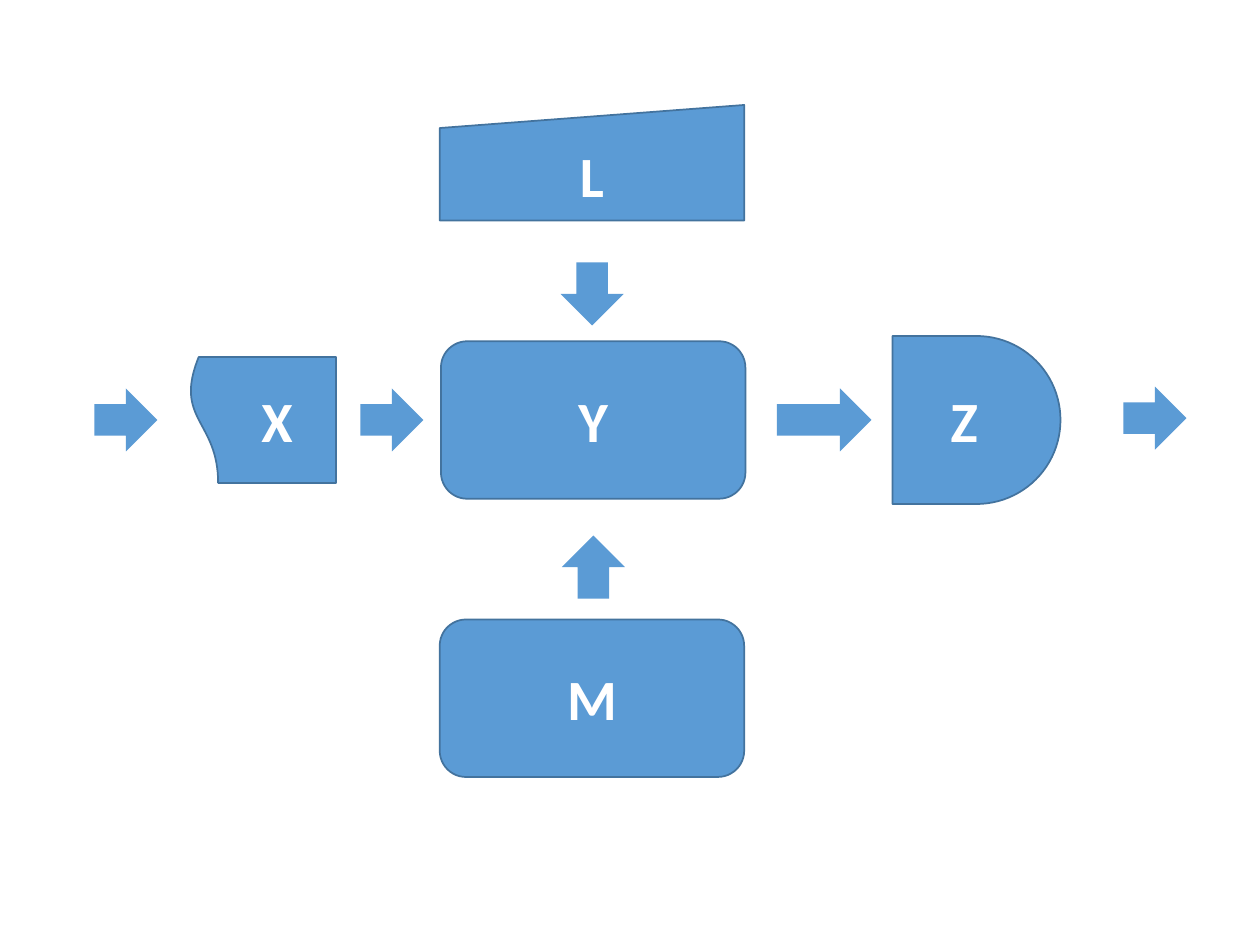
from pptx import Presentation
from pptx.dml.color import RGBColor
from pptx.enum.shapes import MSO_SHAPE
from pptx.enum.text import MSO_ANCHOR, PP_ALIGN
from pptx.util import Pt

COLORS = {"fill": "5B9BD5", "outline": "43739E", "text": "FFFFFF"}
FONT = "Calibri"
ROW_Y = 240  # centre line of the main flow


def add_filled(slide, kind, left, top, width, height, rotation=0):
    sp = slide.shapes.add_shape(kind, Pt(left), Pt(top), Pt(width), Pt(height))
    sp.shadow.inherit = False
    sp.rotation = rotation
    sp.fill.solid()
    sp.fill.fore_color.rgb = RGBColor.from_string(COLORS["fill"])
    return sp


def add_block(slide, kind, label, left, top, width, height, rotation=0):
    sp = add_filled(slide, kind, left, top, width, height, rotation)
    sp.line.color.rgb = RGBColor.from_string(COLORS["outline"])
    sp.line.width = Pt(1)
    tf = sp.text_frame
    tf.text = label
    tf.vertical_anchor = MSO_ANCHOR.MIDDLE
    p = tf.paragraphs[0]
    p.alignment = PP_ALIGN.CENTER
    font = p.runs[0].font
    font.name, font.size, font.bold = FONT, Pt(32.5), True
    font.color.rgb = RGBColor.from_string(COLORS["text"])
    return sp


def add_arrow(slide, left, center_y, width=36, rotation=0):
    height = 36
    sp = add_filled(slide, MSO_SHAPE.RIGHT_ARROW, left, center_y - height / 2,
                    width, height, rotation)
    sp.line.fill.background()


def main():
    prs = Presentation()
    prs.slide_width, prs.slide_height = Pt(720), Pt(540)
    slide = prs.slides.add_slide(prs.slide_layouts[6])

    # Blocks
    process = MSO_SHAPE.FLOWCHART_ALTERNATE_PROCESS
    add_block(slide, MSO_SHAPE.FLOWCHART_DELAY, "Z", 510, ROW_Y - 48, 96, 96)
    add_block(slide, process, "Y", 252, ROW_Y - 45, 174, 90)
    add_block(slide, process, "M", 251.3, 354, 174, 90)
    add_block(slide, MSO_SHAPE.FLOWCHART_MANUAL_INPUT, "L", 251.3, 60, 174, 66)

    # The document block is turned, its label stays upright
    document = add_block(slide, MSO_SHAPE.FLOWCHART_DOCUMENT, "X",
                         114, ROW_Y - 42, 72, 84, rotation=90)
    document.text_frame._txBody.bodyPr.set("vert", "vert270")

    # Arrows along the main flow
    add_arrow(slide, 206, ROW_Y)
    add_arrow(slide, 444, ROW_Y, width=54)
    add_arrow(slide, 54, ROW_Y)
    add_arrow(slide, 642, ROW_Y - 1)

    # Arrows from above and below
    add_arrow(slide, 320.4, 168, rotation=90)
    add_arrow(slide, 321.1, 324, rotation=270)

    prs.save("out.pptx")


if __name__ == "__main__":
    main()
